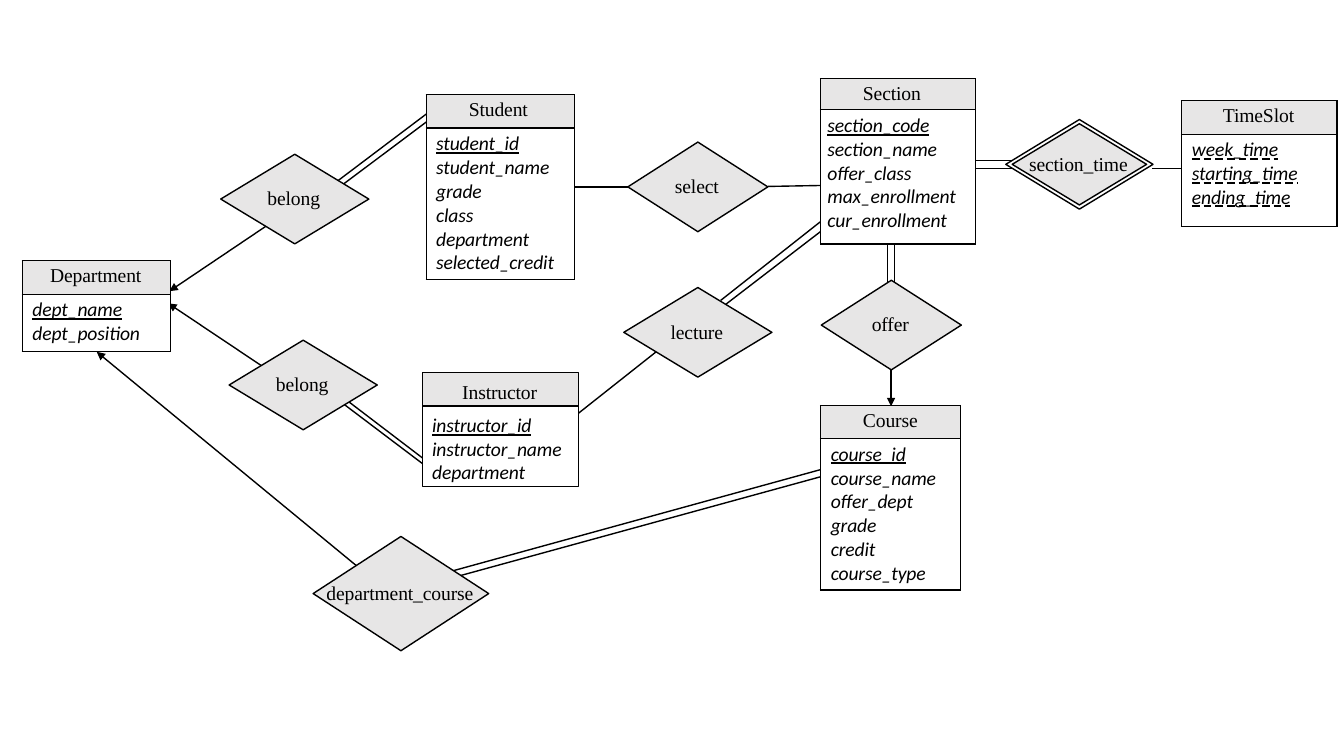
from dataclasses import dataclass
from typing import NamedTuple

from pptx import Presentation
from pptx.dml.color import RGBColor
from pptx.enum.shapes import MSO_CONNECTOR, MSO_SHAPE
from pptx.enum.text import MSO_ANCHOR, MSO_UNDERLINE, PP_ALIGN
from pptx.oxml import parse_xml
from pptx.oxml.ns import nsdecls, qn
from pptx.util import Pt

BLACK, WHITE, GREY = "000000", "FFFFFF", "E7E6E6"
SERIF, SANS = "Times New Roman", "Calibri"
HEADER = 23.8
SIDES = ("lnL", "lnR", "lnT", "lnB")


@dataclass
class Entity:
    name: str
    left: float
    top: float
    width: float
    body: float
    attributes: list[str]
    keys: int = 1
    key_line: MSO_UNDERLINE = MSO_UNDERLINE.SINGLE_LINE
    header: float = HEADER
    title_indent: float = 30.4
    indent: float = 7.4
    right: float = 0
    boxed: bool = False
    stub: float = 0
    link_drop: float = 0


class Relation(NamedTuple):
    name: str
    x: float
    y: float
    width: float = 105.8
    height: float = 64
    fill: str = GREY


class Link(NamedTuple):
    x1: float
    y1: float
    x2: float
    y2: float
    arrow: bool = False


ENTITIES = [
    Entity("Student", 304.5, 67.7, 105.8, 108,
           ["student_id student_name grade", "class department selected_credit"],
           indent=7, right=12),
    Entity("Section", 586, 56.2, 111, 95.8,
           ["section_code section_name offer_class max_enrollment cur_enrollment"],
           header=22.3, indent=5, right=6),
    Entity("Course", 586, 289.6, 100, 108,
           ["course_id course_name offer_dept grade", "credit course_type"], right=14),
    Entity("Instructor", 301.7, 266.2, 111.6, 57.6,
           ["instructor_id instructor_name department"],
           title_indent=28.5, indent=7, boxed=True),
    Entity("Department", 15.8, 186.3, 105.8, 41,
           ["dept_name", "dept_position"], title_indent=20),
    Entity("TimeSlot", 844, 72, 111, 62.4,
           ["week_time starting_time ending_time"], keys=3,
           key_line=MSO_UNDERLINE.DASH_LINE, title_indent=29.5, stub=20.9, link_drop=21),
]

RELATIONS = [
    Relation("belong", 210.6, 142.2),
    Relation("belong", 216.6, 275),
    Relation("select", 498.5, 133.5, 100),
    Relation("lecture", 498.5, 237.4),
    Relation("offer", 636.7, 232.2, 100),
    Relation("", 771, 117.4, 105.2, fill=WHITE),
    Relation("section_time", 771, 117.4, 96, 58),
    Relation("department_course", 286.4, 424, 125.4, 81.6),
]

LINKS = [
    Link(307.4, 85, 244, 132.5),
    Link(304.6, 81.4, 239.8, 130.3),
    Link(190, 161.6, 121, 208, arrow=True),
    Link(187.5, 261.7, 120.2, 216.7, arrow=True),
    Link(305.3, 329.8, 244.8, 283.7),
    Link(313.2, 339.8, 239, 283.7),
    Link(586, 340.6, 321, 413.3),
    Link(586, 335.5, 321.8, 408.2),
    Link(257.4, 406.4, 69.1, 251.3, arrow=True),
    Link(468.7, 251.3, 410.4, 297.4),
    Link(586.8, 164.9, 518.4, 217.4),
    Link(586, 158.4, 514.8, 214.6),
    Link(634, 174.2, 634, 208.8),
    Link(638.9, 174.2, 638.9, 208.8),
    Link(636.5, 264.2, 636.5, 290.2, arrow=True),
    Link(697, 114.5, 729.4, 114.5),
    Link(697, 120.2, 729.4, 120.2),
    Link(410.4, 133.7, 455.8, 133.7),
    Link(548.6, 133.2, 586, 132.5),
]


def colour(value: str) -> RGBColor:
    return RGBColor.from_string(value)


def write(para, text: str, *, font=SERIF, size=14, italic=False, keys=0,
          key_line=None, align=PP_ALIGN.LEFT, indent=0.0, before=0.0) -> None:
    para.alignment = align
    para.space_before = Pt(before)
    properties = para._p.get_or_add_pPr()
    properties.set("marL", str(Pt(indent)))
    properties.set("indent", "0")
    words = text.split()
    pieces = []
    for word in words[:keys]:
        pieces += [(word, key_line), (" ", None)]
    pieces.append((" ".join(words[keys:]), None))
    if not words[keys:]:
        pieces = pieces[:-2]
    for piece, underline in pieces:
        span = para.add_run()
        span.text = piece
        span.font.name = font
        span.font.size = Pt(size)
        span.font.bold = False
        span.font.italic = italic
        span.font.underline = underline
        span.font.color.rgb = colour(BLACK)
        span._r.get_or_add_rPr().set("spc", "-10")


def write_title(text, entity: Entity) -> None:
    write(text.paragraphs[0], entity.name, indent=entity.title_indent, before=3.2)


def write_attributes(text, entity: Entity) -> None:
    for number, attributes in enumerate(entity.attributes):
        para = text.add_paragraph() if number else text.paragraphs[0]
        write(para, attributes, font=SANS, italic=True, indent=entity.indent,
              keys=0 if number else entity.keys, key_line=entity.key_line,
              before=0 if number else 2.7)


def style_cell(cell, fill="", top=2.8, right=0.0, sides=SIDES) -> None:
    cell.margin_left = cell.margin_bottom = 0
    cell.margin_top, cell.margin_right = Pt(top), Pt(right)
    cell.vertical_anchor = MSO_ANCHOR.TOP
    if fill:
        cell.fill.solid()
        cell.fill.fore_color.rgb = colour(fill)
    else:
        cell.fill.background()
    properties = cell._tc.get_or_add_tcPr()
    for place, side in enumerate(SIDES):
        paint = f'<a:solidFill><a:srgbClr val="{BLACK}"/></a:solidFill>'
        properties.insert(place, parse_xml(
            f'<a:{side} {nsdecls("a")} w="{Pt(1)}">'
            f'{paint if side in sides else "<a:noFill/>"}</a:{side}>'))


def draw_table(page, entity: Entity) -> None:
    widths = [entity.stub, entity.width] if entity.stub else [entity.width]
    heights = [entity.header, entity.body]
    if entity.stub:
        heights[1:] = [entity.link_drop, entity.body - entity.link_drop]
    table = page.shapes.add_table(
        len(heights), len(widths), Pt(entity.left - entity.stub), Pt(entity.top),
        Pt(sum(widths)), Pt(sum(heights))).table
    table.first_row = table.horz_banding = False
    for row, height in zip(table.rows, heights):
        row.height = Pt(height)
    for column, width in zip(table.columns, widths):
        column.width = Pt(width)
    main = len(widths) - 1
    title, body = table.cell(0, main), table.cell(1, main)
    style_cell(title, GREY, 3.2)
    for number in range(1, len(heights)):
        style_cell(table.cell(number, main), WHITE, right=entity.right)
    if entity.stub:
        for number, sides in enumerate((("lnR", "lnB"), ("lnR", "lnB"), ("lnR", "lnT"))):
            style_cell(table.cell(number, 0), sides=sides)
        table.cell(0, 0).merge(table.cell(1, 0))
        body.merge(table.cell(2, main))
    write_title(title.text_frame, entity)
    write_attributes(body.text_frame, entity)


def draw_shape(page, kind, left, top, width, height, fill):
    shape = page.shapes.add_shape(kind, Pt(left), Pt(top), Pt(width), Pt(height))
    shape.shadow.inherit = False
    shape.fill.solid()
    shape.fill.fore_color.rgb = colour(fill)
    shape.line.color.rgb = colour(BLACK)
    shape.line.width = Pt(1)
    text = shape.text_frame
    text.margin_left = text.margin_right = text.margin_top = text.margin_bottom = 0
    text.vertical_anchor = MSO_ANCHOR.MIDDLE
    return text


def draw_boxes(page, entity: Entity) -> None:
    parts = ((entity.top, entity.header, GREY, write_title),
             (entity.top + entity.header, entity.body, WHITE, write_attributes))
    for top, height, fill, fill_text in parts:
        text = draw_shape(page, MSO_SHAPE.RECTANGLE, entity.left, top,
                          entity.width, height, fill)
        text.margin_top = Pt(3)
        text.word_wrap = True
        fill_text(text, entity)


def draw_relation(page, relation: Relation) -> None:
    text = draw_shape(page, MSO_SHAPE.DIAMOND, relation.x - relation.width / 2,
                      relation.y - relation.height / 2, relation.width,
                      relation.height, relation.fill)
    if relation.name:
        text.margin_right = text.margin_bottom = Pt(1.4)
        text.word_wrap = False
        write(text.paragraphs[0], relation.name, align=PP_ALIGN.CENTER)


def draw_link(page, link: Link) -> None:
    line = page.shapes.add_connector(
        MSO_CONNECTOR.STRAIGHT, Pt(link.x1), Pt(link.y1), Pt(link.x2), Pt(link.y2))
    line.line.color.rgb = colour(BLACK)
    line.line.width = Pt(1)
    if link.arrow:
        line.line._get_or_add_ln().append(
            parse_xml(f'<a:tailEnd {nsdecls("a")} type="triangle"/>'))
    line._element.spPr.append(line._element.makeelement(qn("a:effectLst"), {}))


deck = Presentation()
deck.slide_width, deck.slide_height = Pt(960), Pt(540)
page = deck.slides.add_slide(deck.slide_layouts[6])
for link in LINKS:
    draw_link(page, link)
for relation in RELATIONS:
    draw_relation(page, relation)
for entity in ENTITIES:
    (draw_boxes if entity.boxed else draw_table)(page, entity)
deck.save("out.pptx")
